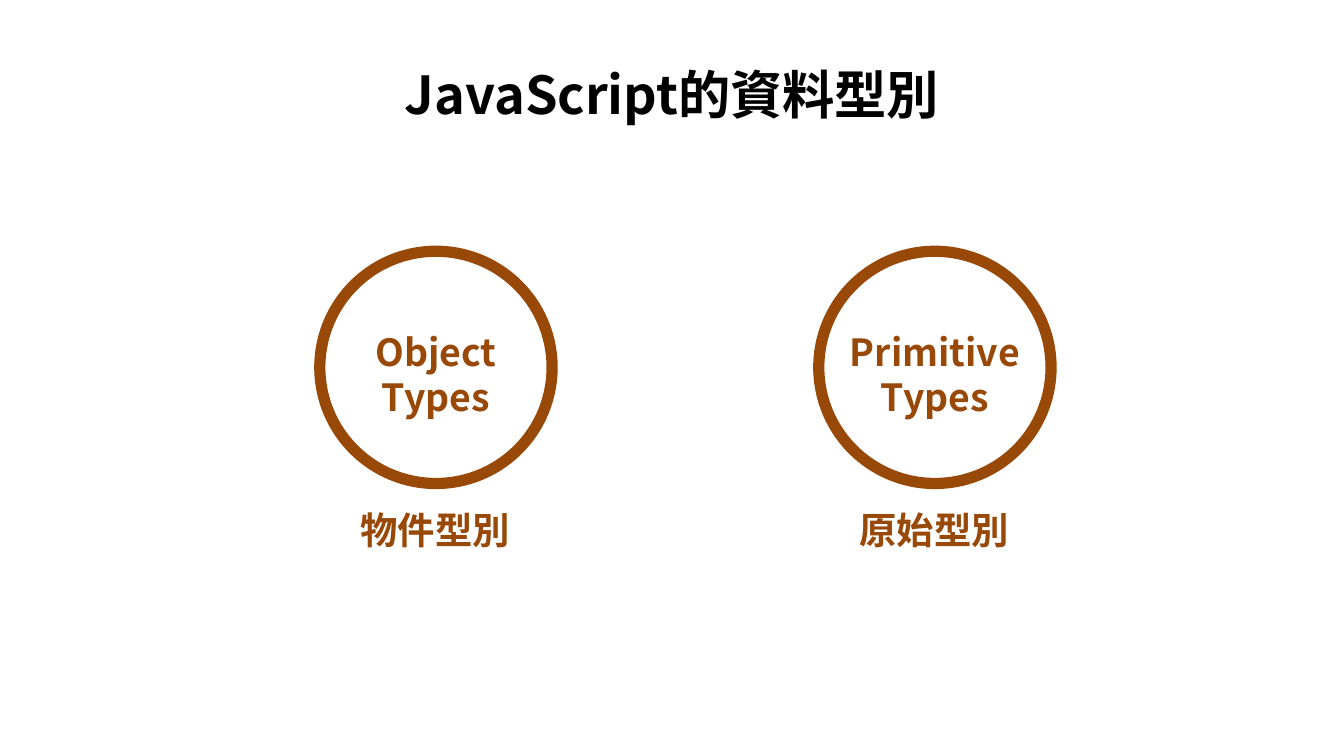
from lxml.etree import SubElement
from pptx import Presentation
from pptx.dml.color import RGBColor
from pptx.enum.shapes import MSO_SHAPE as Shape
from pptx.enum.text import MSO_ANCHOR as Anchor, MSO_AUTO_SIZE as Fit, PP_ALIGN as Align
from pptx.oxml.ns import qn
from pptx.util import Cm, Pt

BLACK = RGBColor(0, 0, 0)
BROWN = RGBColor(0x98, 0x48, 0x07)
TYPES = [("Primitive\vTypes", "原始型別", 17.67), ("Object\vTypes", "物件型別", 8.24)]


class Deck:
    font = "Noto Sans CJK SC"

    def __init__(self, wide, high):
        self.prs = Presentation()
        self.prs.slide_width, self.prs.slide_height = Cm(wide), Cm(high)
        self.slide = self.prs.slides.add_slide(self.prs.slide_layouts[5])

    def fill_text(self, frame, text, size, color, align=Align.CENTER):
        frame.vertical_anchor = Anchor.MIDDLE
        para = frame.paragraphs[0]
        para.text = text
        para.alignment = align
        font = para.font
        font.name, font.size, font.bold = self.font, Pt(size), True
        font.color.rgb = color
        # Chinese glyphs take the East Asian typeface
        style = para._p.pPr.find(qn("a:defRPr"))
        SubElement(style, qn("a:ea"), typeface=self.font)

    def title(self, text):
        box = self.slide.shapes.title
        box.left, box.top, box.width, box.height = Cm(1.27), Cm(0.58), Cm(22.86), Cm(2.38)
        self.fill_text(box.text_frame, text, 28, BLACK)

    def ring(self, group, mid, top, size):
        ring = group.shapes.add_shape(
            Shape.OVAL, Cm(mid - size / 2), Cm(top), Cm(size), Cm(size))
        ring.shadow.inherit = False
        ring.fill.background()
        ring.line.color.rgb = BROWN
        ring.line.width = Pt(6)

    def label(self, group, text, mid, top, wide, high, wrap=True, align=Align.CENTER):
        box = group.shapes.add_textbox(Cm(mid - wide / 2), Cm(top), Cm(wide), Cm(high))
        frame = box.text_frame
        frame.word_wrap = wrap
        frame.auto_size = Fit.SHAPE_TO_FIT_TEXT
        self.fill_text(frame, text, 20, BROWN, align)

    def badge(self, name, label, mid):
        """Group a ring, the name inside it and the label below it."""
        group = self.slide.shapes.add_group_shape()
        self.ring(group, mid, 4.75, 4.39)
        self.label(group, name, mid, 6.1, 3.91, 1.95)
        self.label(group, label, mid, 9.45, 3.35, 1.12, wrap=False, align=Align.LEFT)


def main():
    deck = Deck(25.4, 14.29)
    deck.title("JavaScript的資料型別")
    for name, label, mid in TYPES:
        deck.badge(name, label, mid)
    deck.prs.save("out.pptx")


if __name__ == "__main__":
    main()
